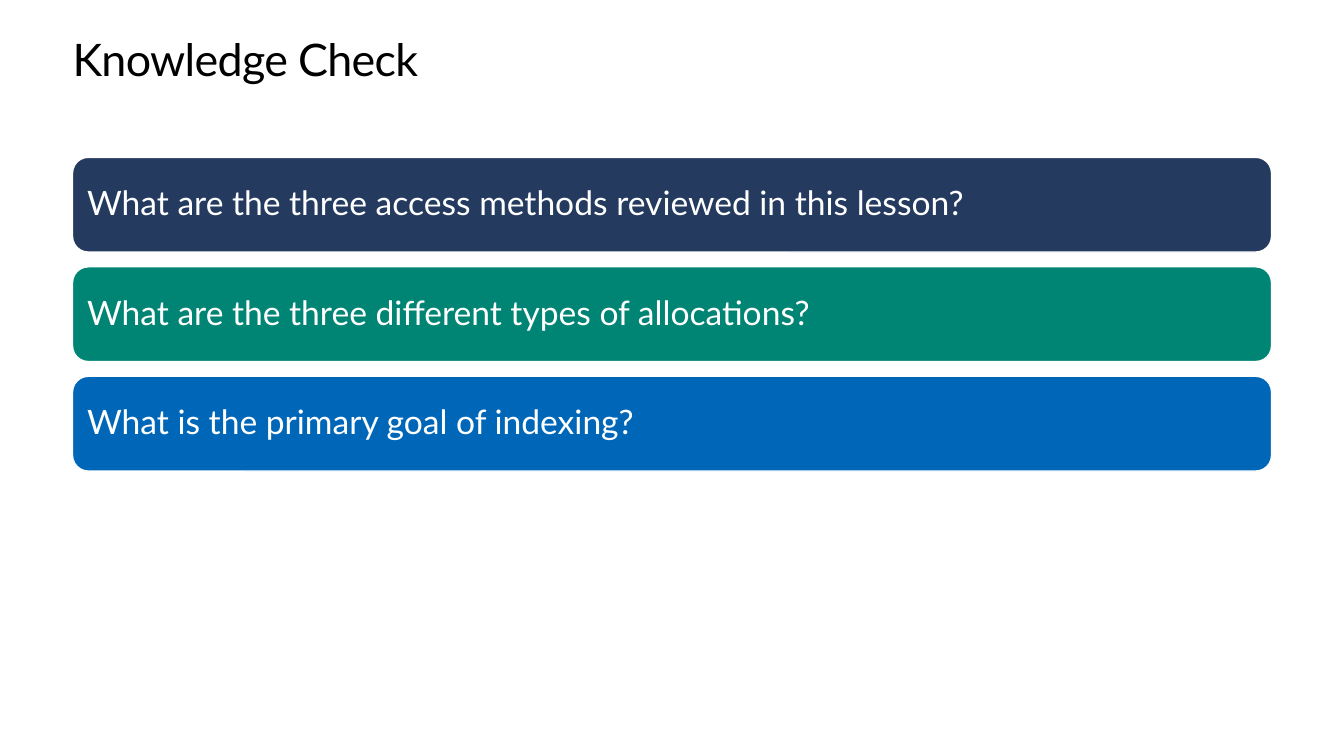
"""Build the Knowledge Check slide with three question bars."""
from pptx import Presentation
from pptx import util as u
from pptx.dml.color import RGBColor
from pptx.enum import shapes, text

COLOURS = {"black": "000000", "white": "FFFFFF", "navy": "243A5E", "green": "008575", "blue": "0067B8"}
LEFT, WIDTH = 51.8, 856.5
BAR_TOP, BAR_HEIGHT, BAR_STEP = 112.4, 67.7, 78.2
QUESTIONS = [
    ("What are the three access methods reviewed in this lesson?", "navy"),
    ("What are the three different types of allocations?", "green"),
    ("What is the primary goal of indexing?", "blue"),
]


def colour(name):
    return RGBColor.from_string(COLOURS[name])


def add_span(frame, inset, words, size, name):
    frame.word_wrap = True
    frame.margin_left = frame.margin_right = frame.margin_top = frame.margin_bottom = u.Pt(inset)
    para = frame.paragraphs[0]
    para.alignment = text.PP_ALIGN.LEFT
    span = para.add_run()
    span.text = words
    span.font.name = "Lato"
    span.font.size = u.Pt(size)
    span.font.color.rgb = colour(name)
    return para, span


deck = Presentation()
deck.slide_width, deck.slide_height = u.Pt(960), u.Pt(540)
page = deck.slides.add_slide(deck.slide_layouts[6])

title = page.shapes.add_textbox(u.Pt(LEFT), u.Pt(25.2), u.Pt(WIDTH), u.Pt(36))
title.text_frame.auto_size = text.MSO_AUTO_SIZE.SHAPE_TO_FIT_TEXT
para, span = add_span(title.text_frame, 0, "Knowledge Check", 32, "black")
para.line_spacing = u.Pt(36.2)
span.font._element.set("spc", "-50")

for index, (question, fill) in enumerate(QUESTIONS):
    bar = page.shapes.add_shape(
        shapes.MSO_SHAPE.ROUNDED_RECTANGLE,
        u.Pt(LEFT), u.Pt(BAR_TOP + index * BAR_STEP), u.Pt(WIDTH), u.Pt(BAR_HEIGHT))
    bar.shadow.inherit = False
    bar.fill.solid()
    bar.fill.fore_color.rgb = colour(fill)
    bar.line.color.rgb = colour("white")
    bar.line.width = u.Pt(1)
    bar.text_frame.vertical_anchor = text.MSO_ANCHOR.MIDDLE
    para, span = add_span(bar.text_frame, 7.2, question, 24, "white")
    para.line_spacing = 0.9

deck.save("out.pptx")
